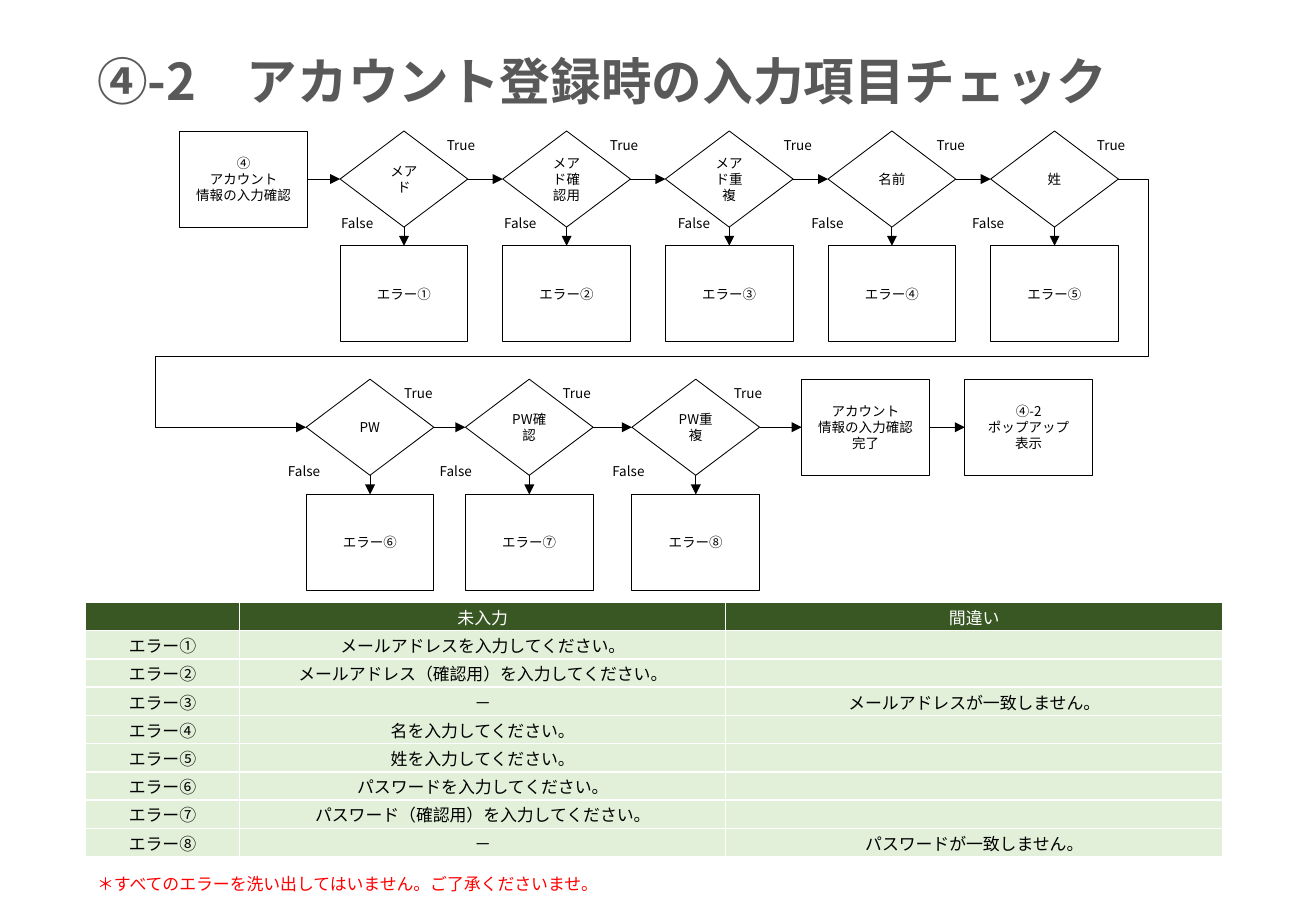
from dataclasses import dataclass

from lxml.etree import SubElement
from pptx import Presentation
from pptx.dml.color import RGBColor
from pptx.enum.shapes import MSO_CONNECTOR, MSO_SHAPE
from pptx.enum.text import MSO_ANCHOR, PP_ALIGN
from pptx.oxml.ns import qn
from pptx.shapes.autoshape import Shape
from pptx.shapes.connector import Connector
from pptx.slide import Slide
from pptx.table import _Cell
from pptx.text.text import TextFrame
from pptx.util import Cm, Pt

FONT = "Noto Sans CJK JP"
BLACK, WHITE, GREY, RED = "000000", "FFFFFF", "595959", "FF0000"
DARK_GREEN, PALE_GREEN = "385723", "E2F0D9"
BOX_W, BOX_H = 2.67, 2.01
TOP, LEFT, BOTTOM, RIGHT = range(4)  # connection sites
ERRORS = "①②③④⑤⑥⑦⑧"


@dataclass
class Row:
    """Tops of the checks and of the error boxes below them, in cm."""
    check_y: float
    error_y: float


@dataclass
class Check:
    text: str
    row: Row
    x: float
    true_x: float
    false_x: float


@dataclass
class Step:
    text: str
    x: float
    y: float


UPPER, LOWER = Row(2.74, 5.14), Row(7.93, 10.34)
FIRST_X, STEP_X = 7.11, 3.4
CHECKS = [
    Check("メアド", UPPER, FIRST_X, 9.09, 6.88),
    Check("メアド確認用", UPPER, FIRST_X + STEP_X, 12.5, 10.29),
    Check("メアド重複", UPPER, FIRST_X + 2 * STEP_X, 16.13, 13.92),
    Check("名前", UPPER, FIRST_X + 3 * STEP_X, 19.33, 16.71),
    Check("姓", UPPER, FIRST_X + 4 * STEP_X, 22.68, 20.07),
    Check("PW", LOWER, 6.4, 8.2, 5.77),
    Check("PW確認", LOWER, 9.73, 11.51, 8.94),
    Check("PW重複", LOWER, 13.21, 15.09, 12.55),
]
START = Step("④\nアカウント\n情報の入力確認", 3.76, UPPER.check_y)
FINISH = [
    Step("アカウント\n情報の入力確認\n完了", 16.76, LOWER.check_y),
    Step("④-2\nポップアップ\n表示", 20.17, LOWER.check_y),
]
MESSAGES = [
    ("メールアドレスを入力してください。", ""),
    ("メールアドレス（確認用）を入力してください。", ""),
    ("－", "メールアドレスが一致しません。"),
    ("名を入力してください。", ""),
    ("姓を入力してください。", ""),
    ("パスワードを入力してください。", ""),
    ("パスワード（確認用）を入力してください。", ""),
    ("－", "パスワードが一致しません。"),
]


def rgb(color: str) -> RGBColor:
    return RGBColor.from_string(color)


def write(tf: TextFrame, text: str, size: float, color: str,
          align: PP_ALIGN = PP_ALIGN.LEFT, bold: bool = False) -> None:
    tf.text = text
    for p in tf.paragraphs:
        p.alignment = align
        p.font.size, p.font.bold, p.font.name = Pt(size), bold, FONT
        p.font.color.rgb = rgb(color)
        SubElement(p.font._element, qn("a:ea"), typeface=FONT)
        if not text:
            p._p.get_or_add_endParaRPr().set("sz", str(size * 100))


def add_text(slide: Slide, text: str, x: float, y: float, w: float, h: float,
             size: float = 8, color: str = BLACK, bold: bool = False) -> None:
    tf = slide.shapes.add_textbox(Cm(x), Cm(y), Cm(w), Cm(h)).text_frame
    tf.word_wrap = True
    write(tf, text, size, color, bold=bold)


def add_box(slide: Slide, text: str, x: float, y: float,
            kind: MSO_SHAPE = MSO_SHAPE.RECTANGLE) -> Shape:
    s = slide.shapes.add_shape(kind, Cm(x), Cm(y), Cm(BOX_W), Cm(BOX_H))
    s.shadow.inherit = False
    s.fill.background()
    s.line.color.rgb = rgb(BLACK)
    s.line.width = Pt(0.5)
    s.text_frame.word_wrap = True
    s.text_frame.vertical_anchor = MSO_ANCHOR.MIDDLE
    write(s.text_frame, text, 8, BLACK, PP_ALIGN.CENTER)
    return s


def add_arrow(slide: Slide, start: Shape, end: Shape, start_site: int = RIGHT,
              end_site: int = LEFT,
              kind: MSO_CONNECTOR = MSO_CONNECTOR.STRAIGHT) -> Connector:
    c = slide.shapes.add_connector(kind, 0, 0, 0, 0)
    c.begin_connect(start, start_site)
    c.end_connect(end, end_site)
    c.line.color.rgb = rgb(BLACK)
    c.line.width = Pt(0.5)
    SubElement(c.line._get_or_add_ln(), qn("a:tailEnd"), type="triangle")
    SubElement(c._element.spPr, qn("a:effectLst"))
    return c


def add_return_arrow(slide: Slide, start: Shape, end: Shape) -> None:
    """Lead from the end of one row round to the start of the next."""
    c = add_arrow(slide, start, end, kind=MSO_CONNECTOR.ELBOW)
    geometry = c._element.spPr.find(qn("a:prstGeom"))
    geometry.set("prst", "bentConnector5")
    guides = geometry.find(qn("a:avLst"))
    for i, value in enumerate((-3700, 71500, 118500), 1):
        SubElement(guides, qn("a:gd"), name=f"adj{i}", fmla=f"val {value}")


def add_check(slide: Slide, check: Check, mark: str) -> Shape:
    """Draw a decision with its error box and its two branch labels."""
    y = check.row.check_y
    s = add_box(slide, check.text, check.x, y, MSO_SHAPE.FLOWCHART_DECISION)
    error = add_box(slide, f"エラー{mark}", check.x, check.row.error_y)
    add_arrow(slide, s, error, BOTTOM, TOP)
    add_text(slide, "True", check.true_x, y, 1.42, 0.6)
    add_text(slide, "False", check.false_x, y + 1.63, 1.42, 0.6)
    return s


def fill_cell(cell: _Cell, text: str, fill: str, color: str) -> None:
    cell.margin_left = cell.margin_right = cell.margin_top = Cm(0.02)
    cell.margin_bottom = 0
    cell.vertical_anchor = MSO_ANCHOR.MIDDLE
    write(cell.text_frame, text, 10, color, PP_ALIGN.CENTER)
    tc_pr = cell._tc.get_or_add_tcPr()
    for side in ("lnL", "lnR", "lnT", "lnB"):
        ln = SubElement(tc_pr, qn(f"a:{side}"), w=str(Pt(1)))
        SubElement(SubElement(ln, qn("a:solidFill")), qn("a:srgbClr"), val=WHITE)
    cell.fill.solid()
    cell.fill.fore_color.rgb = rgb(fill)


def add_messages(slide: Slide) -> None:
    rows = [("", "未入力", "間違い")]
    rows += [(f"エラー{mark}", *m) for mark, m in zip(ERRORS, MESSAGES)]
    widths, row_h = (3.23, 10.16, 10.39), 0.59
    table = slide.shapes.add_table(len(rows), len(widths), Cm(1.78), Cm(12.6),
                                   Cm(sum(widths)), Cm(row_h * len(rows))).table
    table.first_row = table.horz_banding = False
    for column, width in zip(table.columns, widths):
        column.width = Cm(width)
    for i, row in enumerate(rows):
        table.rows[i].height = Cm(row_h)
        fill, color = (PALE_GREEN, BLACK) if i else (DARK_GREEN, WHITE)
        for j, text in enumerate(row):
            fill_cell(table.cell(i, j), text, fill, color)


def main() -> None:
    prs = Presentation()
    prs.slide_width, prs.slide_height = Cm(27.51), Cm(19.05)
    slide = prs.slides.add_slide(prs.slide_layouts[6])
    add_text(slide, "④-2　アカウント登録時の入力項目チェック", 1.78, 0.91, 23.85, 1.55,
             30, GREY, bold=True)

    flow = [add_box(slide, START.text, START.x, START.y)]
    flow += [add_check(slide, c, mark) for c, mark in zip(CHECKS, ERRORS)]
    flow += [add_box(slide, f.text, f.x, f.y) for f in FINISH]
    for start, end in zip(flow, flow[1:]):
        link = add_arrow if end.left > start.left else add_return_arrow
        link(slide, start, end)

    add_messages(slide)
    add_text(slide, "＊すべてのエラーを洗い出してはいません。ご了承くださいませ。",
             1.78, 18.14, 23.77, 0.69, 10, RED)
    prs.save("out.pptx")


if __name__ == "__main__":
    main()
